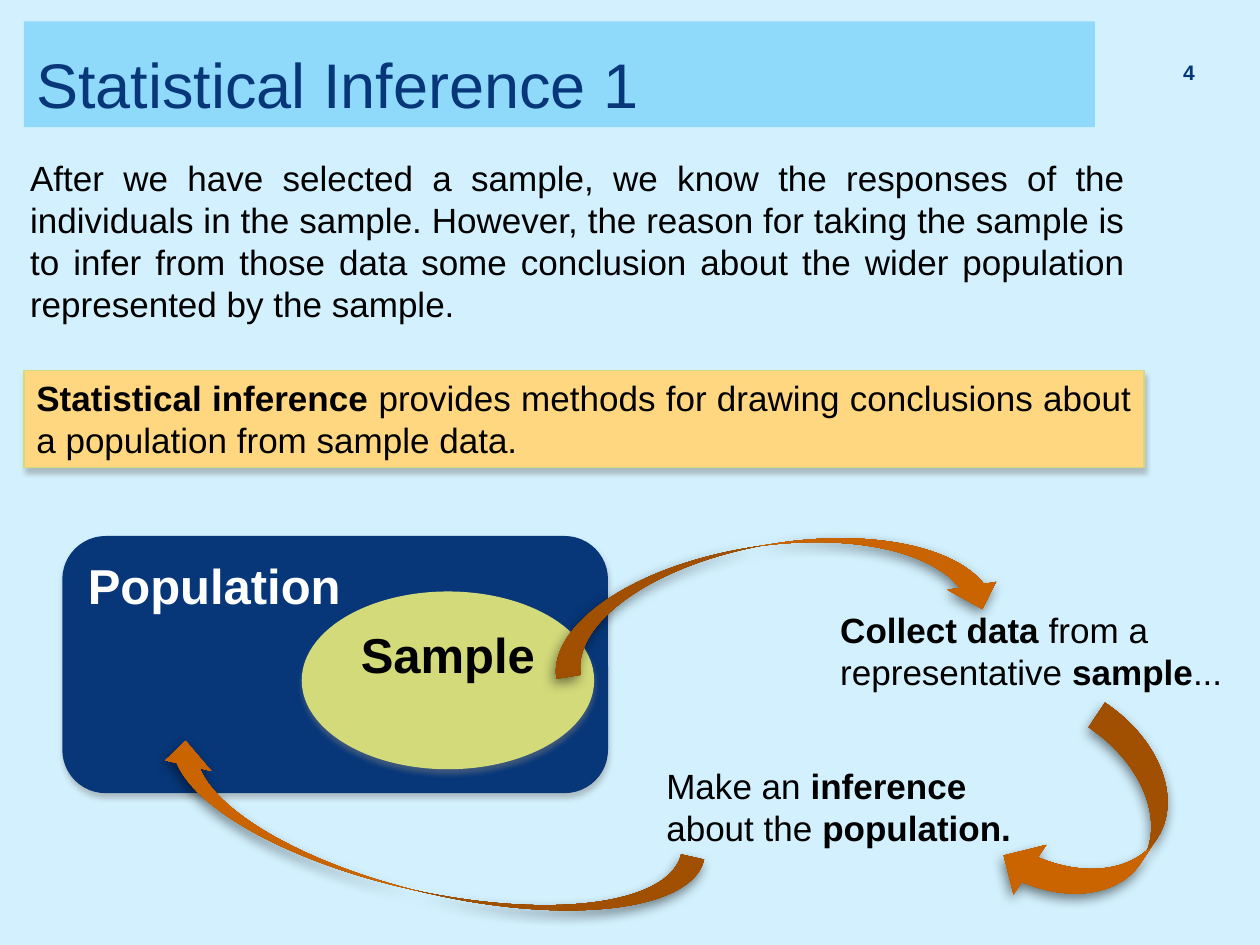
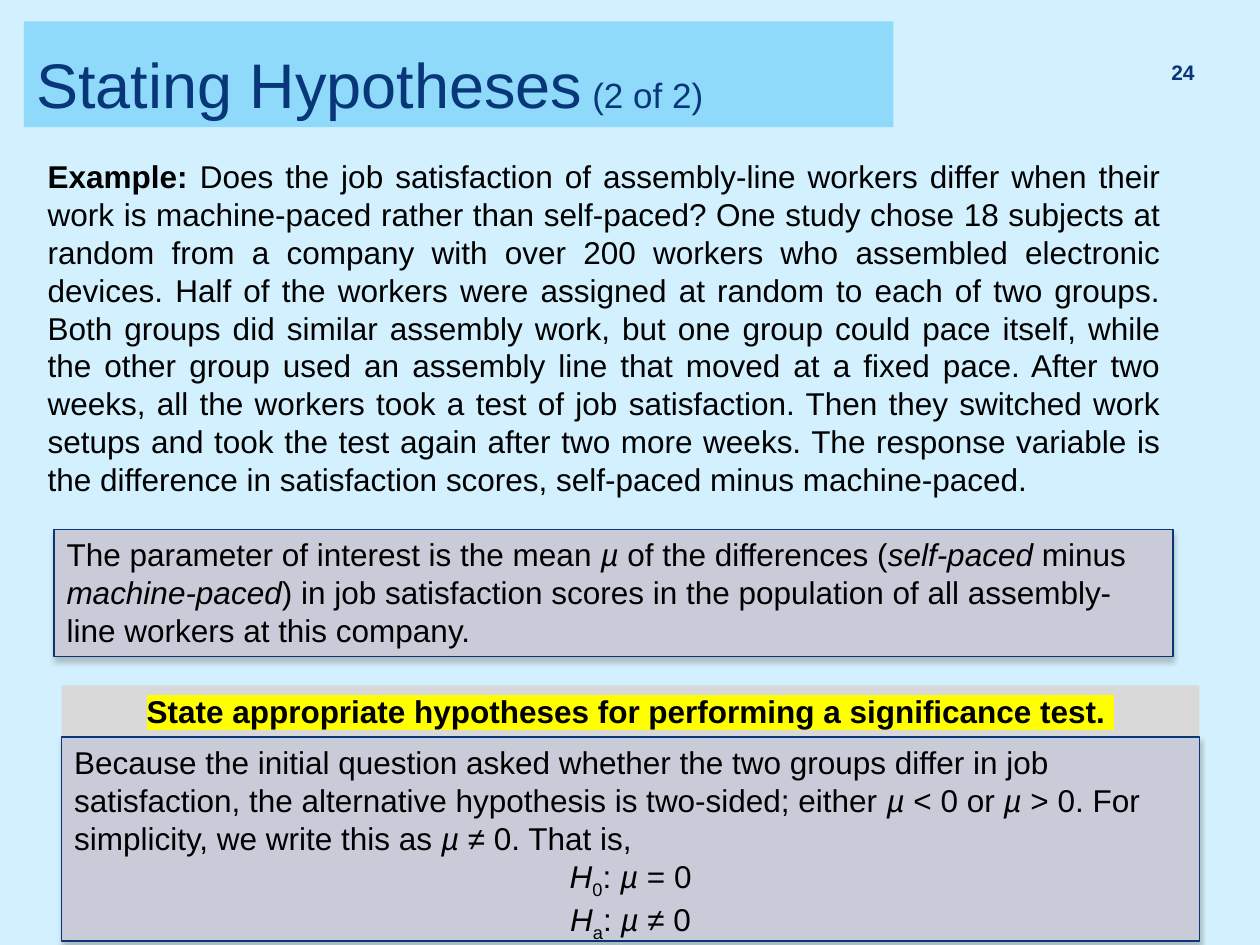
import pptx
import pptx.util
import pptx.dml.color
import pptx.enum.shapes
import pptx.enum.text
import pptx.oxml.ns
from lxml import etree

PX = 9144  # 100 px to the inch

COLORS = {
    "background": "D2F0FD", "title_band": "8FD9FB", "navy": "073779",
    "definition": "FFD780", "lime": "D2DA7A", "gray_blue": "C9CCD8",
    "prompt": "D9D9D9", "highlight": "FFFF00", "black": "000000",
    "white": "FFFFFF", "arrow_dark": "AC5600", "arrow": "C96400",
    "shadow": "808080",
}
RGB = {name: pptx.dml.color.RGBColor.from_string(value) for name, value in COLORS.items()}

RUN_STYLES = {
    "plain": {},
    "bold": {"bold": True},
    "italic": {"italic": True},
    "small": {"size": pptx.util.Pt(20)},
    "subscript": {},
    "highlight": {"bold": True},
}
# Colour, opacity %, blur pt, distance pt, direction in degrees
BOX_SHADOW = ("shadow", 45, 3, 2.4, 90)
ARROW_SHADOW = ("black", 50, 7, 3, 110)

SHAPE = pptx.enum.shapes.MSO_SHAPE
ALIGN = pptx.enum.text.PP_ALIGN
ANCHOR = pptx.enum.text.MSO_ANCHOR


def add_shadow(shape, color, opacity, blur, distance, direction):
    effects = shape._element.spPr.find(pptx.oxml.ns.qn("a:effectLst"))
    outer = etree.SubElement(
        effects, pptx.oxml.ns.qn("a:outerShdw"),
        blurRad=str(int(blur * 12700)), dist=str(int(distance * 12700)),
        dir=str(direction * 60000), algn="ctr", rotWithShape="0")
    shade = etree.SubElement(outer, pptx.oxml.ns.qn("a:srgbClr"), val=COLORS[color])
    etree.SubElement(shade, pptx.oxml.ns.qn("a:alpha"), val=str(opacity * 1000))


def add_box(slide, at, paragraphs, size, kind=SHAPE.RECTANGLE, fill=None, line=None,
            color="black", align=ALIGN.LEFT, anchor=ANCHOR.TOP, spacing=None):
    """Add a text shape; paragraphs is a list of (align or None, [(text, style), ...])."""
    shape = slide.shapes.add_shape(kind, *[value * PX for value in at])
    shape.shadow.inherit = False
    if fill:
        shape.fill.solid()
        shape.fill.fore_color.rgb = RGB[fill]
    else:
        shape.fill.background()
    if line:
        shape.line.color.rgb = RGB[line]
        shape.line.width = pptx.util.Pt(0.79)
        add_shadow(shape, *BOX_SHADOW)
    else:
        shape.line.fill.background()

    frame = shape.text_frame
    frame.word_wrap = True
    frame.vertical_anchor = anchor
    for index, (own_align, runs) in enumerate(paragraphs):
        paragraph = frame.add_paragraph() if index else frame.paragraphs[0]
        paragraph.alignment = own_align or align
        if spacing:
            paragraph.line_spacing = spacing
        for text, style in runs:
            run = paragraph.add_run()
            run.text = text
            run.font.color.rgb = RGB[color]
            font_values = {"name": "Arial", "size": pptx.util.Pt(size), **RUN_STYLES[style]}
            for attribute, value in font_values.items():
                setattr(run.font, attribute, value)
            properties = run._r.get_or_add_rPr()
            if style == "subscript":
                properties.set("baseline", "-25000")
            if style == "highlight":
                marker = etree.Element(pptx.oxml.ns.qn("a:highlight"))
                etree.SubElement(marker, pptx.oxml.ns.qn("a:srgbClr"), val=COLORS["highlight"])
                properties.find(pptx.oxml.ns.qn("a:solidFill")).addnext(marker)


presentation = pptx.Presentation()
presentation.slide_width = 1000 * PX
presentation.slide_height = 750 * PX

# Both slides: background, title band and slide number
slides = []
for band_width, title_runs, number in [
    (850, [("Statistical Inference 1", "plain")], "4"),
    (690, [("Stating Hypotheses", "plain"), (" (2 of 2)", "small")], "24"),
]:
    slide = presentation.slides.add_slide(presentation.slide_layouts[6])
    slide.background.fill.solid()
    slide.background.fill.fore_color.rgb = RGB["background"]
    add_box(slide, (19, 17, band_width, 84), [(None, title_runs)], 36,
            fill="title_band", color="navy", anchor=ANCHOR.BOTTOM)
    add_box(slide, (903, 39, 55, 40), [(None, [(number, "bold")])], 12,
            color="navy", align=ALIGN.RIGHT, anchor=ANCHOR.MIDDLE, spacing=0.8)
    slides.append(slide)
inference_slide, hypotheses_slide = slides

# Statistical inference: explanation, definition, population and sample
add_box(inference_slide, (14, 119, 889, 144), [(None, [
    ("After we have selected a sample, we know the responses of the individuals in the sample. "
     "However, the reason for taking the sample is to infer from those data some conclusion "
     "about the wider population represented by the sample.", "plain"),
])], 20, align=ALIGN.JUSTIFY)
add_box(inference_slide, (19, 294, 889, 77), [(None, [
    ("Statistical inference ", "bold"),
    ("provides methods for drawing conclusions about a population from sample data.", "plain"),
])], 20, fill="definition", line="lime", align=ALIGN.JUSTIFY)
add_box(inference_slide, (50, 426, 432, 203), [(None, [("Population", "bold")])], 28,
        kind=SHAPE.ROUNDED_RECTANGLE, fill="navy", line="navy", color="white")
add_box(inference_slide, (240, 470, 231, 140), [(None, [("Sample", "bold")])], 28,
        kind=SHAPE.OVAL, fill="lime", line="lime", align=ALIGN.CENTER)

# The cycle from sample to data to inference and back to the population
add_box(inference_slide, (657, 478, 338, 77), [(None, [
    ("Collect data ", "bold"), ("from a representative ", "plain"),
    ("sample", "bold"), ("...", "plain"),
])], 20)
add_box(inference_slide, (519, 602, 320, 77), [(None, [
    ("Make an ", "plain"), ("inference ", "bold"),
    ("about the ", "plain"), ("population.", "bold"),
])], 20)
for at, rotation in [
    ((433, 432, 362, 78), 350.7),
    ((785, 607, 169, 94), 123.5),
    ((115, 632, 441, 75), 192.9),
]:
    arrow = inference_slide.shapes.add_shape(
        SHAPE.CURVED_DOWN_ARROW, *[value * PX for value in at])
    arrow.rotation = rotation
    arrow.shadow.inherit = False
    arrow.line.fill.background()
    arrow.fill.gradient()
    arrow.fill.gradient_angle = 90
    for stop, color, position in zip(arrow.fill.gradient_stops, ("arrow_dark", "arrow"), (0, 0.35)):
        stop.color.rgb = RGB[color]
        stop.position = position
    add_shadow(arrow, *ARROW_SHADOW)

# Stating hypotheses: example, parameter, prompt and answer
add_box(hypotheses_slide, (28, 120, 903, 283), [(None, [
    ("Example: ", "bold"),
    ("Does the job satisfaction of assembly-line workers differ when their work is machine-paced "
     "rather than self-paced? One study chose 18 subjects at random from a company with over 200 "
     "workers who assembled electronic devices. Half of the workers were assigned at random to "
     "each of two groups. Both groups did similar assembly work, but one group could pace itself, "
     "while the other group used an assembly line that moved at a fixed pace. After two weeks, "
     "all the workers took a test of job satisfaction. Then they switched work setups and took "
     "the test again after two more weeks. The response variable is the difference in "
     "satisfaction scores, self-paced minus machine-paced.", "plain"),
])], 18, align=ALIGN.JUSTIFY)
add_box(hypotheses_slide, (43, 420, 888, 101), [(None, [
    ("The parameter of interest is the mean ", "plain"), ("µ ", "italic"),
    ("of the differences (", "plain"), ("self-paced ", "italic"),
    ("minus", "plain"), (" machine-paced", "italic"),
    (") in job satisfaction scores in the population of all assembly-line workers "
     "at this company.", "plain"),
])], 18, fill="gray_blue", line="navy")
add_box(hypotheses_slide, (49, 544, 903, 40), [(None, [
    ("State appropriate hypotheses for performing a significance test. ", "highlight"),
])], 18, fill="prompt", align=ALIGN.CENTER)

answer = [(None, [
    ("Because the initial question asked whether the two groups differ in job satisfaction, "
     "the alternative hypothesis is two-sided; either ", "plain"),
    ("µ ", "italic"), ("< 0 or ", "plain"),
    ("µ ", "italic"), ("> 0. For simplicity, we write this as ", "plain"),
    ("µ ", "italic"), ("≠ 0. That is,", "plain"),
])]
for subscript, relation in [("0", " = 0"), ("a", " ≠ 0")]:
    answer.append((ALIGN.CENTER, [
        ("H", "italic"), (subscript, "subscript"), (": ", "plain"),
        ("µ", "italic"), (relation, "plain"),
    ]))
add_box(hypotheses_slide, (49, 585, 903, 162), answer, 18, fill="gray_blue", line="navy")

presentation.save("out.pptx")
